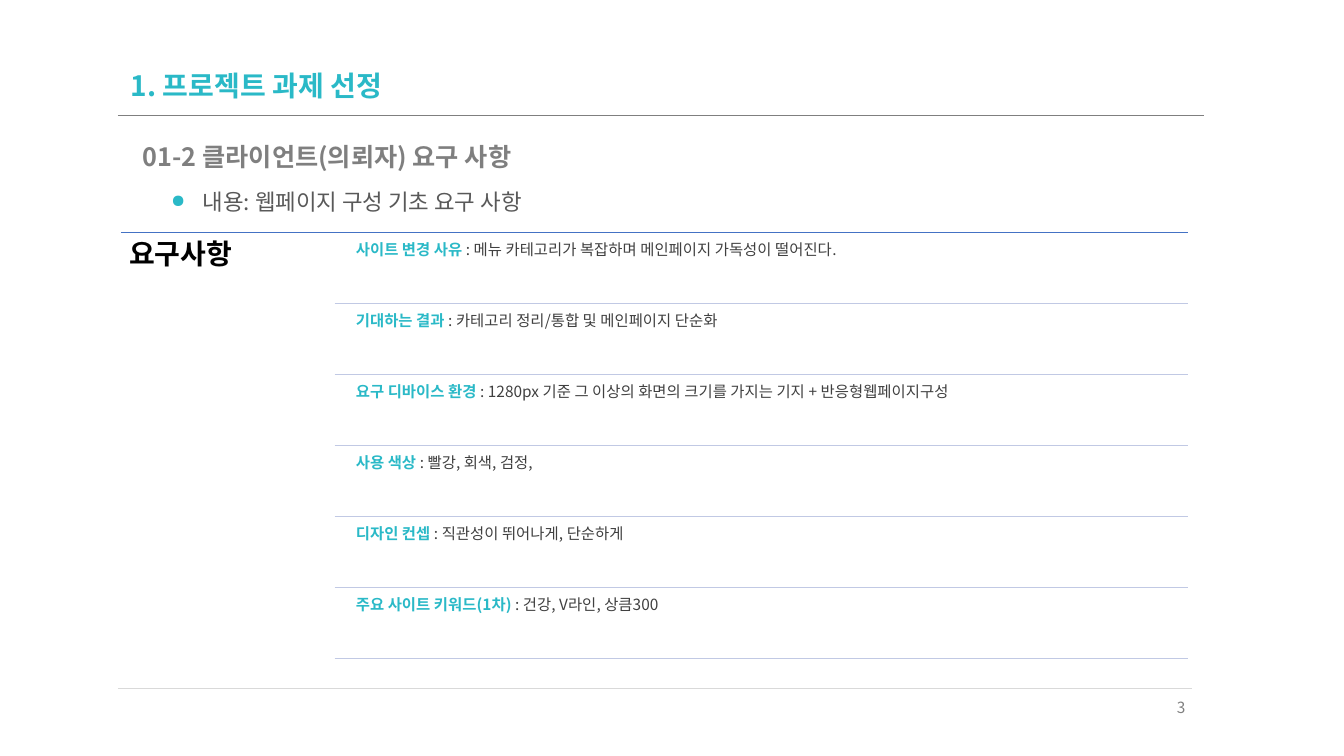
from lxml.etree import SubElement
from pptx import Presentation
from pptx.dml.color import RGBColor
from pptx.enum.shapes import MSO_CONNECTOR
from pptx.enum.text import MSO_ANCHOR, PP_ALIGN
from pptx.oxml.ns import qn
from pptx.util import Pt

FONT = "Noto Sans CJK KR"
TEAL, GRAY, DARK = "2AB9C7", "7F7F7F", "404040"
LEFT, INNER, RIGHT = 86.4, 239, 848.9
TOP, PITCH = 166.1, 50.7

NEEDS = [
    ("사이트 변경 사유 ", ": 메뉴 카테고리가 복잡하며 메인페이지 가독성이 떨어진다."),
    ("기대하는 결과 ", ": 카테고리 정리/통합 및 메인페이지 단순화"),
    ("요구 디바이스 환경 ", ": 1280px 기준 그 이상의 화면의 크기를 가지는 기지 + 반응형웹페이지구성"),
    ("사용 색상 ", ": 빨강, 회색, 검정,"),
    ("디자인 컨셉 ", ": 직관성이 뛰어나게, 단순하게"),
    ("주요 사이트 키워드(1차) ", ": 건강, V라인, 상큼300"),
]


def color(code):
    """Turn a hex string into a colour."""
    return RGBColor.from_string(code)


def add_run(para, words, size, tint, bold=False):
    """Add a run in the slide's font."""
    run = para.add_run()
    run.text = words
    font = run.font
    font.name, font.size, font.bold = FONT, Pt(size), bold
    font.color.rgb = color(tint)
    SubElement(font._element, qn("a:ea"), typeface=FONT)


def add_text(slide, box, runs, inset=None, anchor=MSO_ANCHOR.TOP,
             align=PP_ALIGN.LEFT, spacing=0.9):
    """Add a text box of one paragraph and return the paragraph."""
    frame = slide.shapes.add_textbox(*map(Pt, box)).text_frame
    frame.word_wrap = True
    frame.vertical_anchor = anchor
    if inset is not None:
        frame.margin_left = frame.margin_right = Pt(inset)
        frame.margin_top = frame.margin_bottom = Pt(inset)
    para = frame.paragraphs[0]
    para.alignment, para.line_spacing = align, spacing
    for run in runs:
        add_run(para, *run)
    return para


def add_bullet(para, tint, indent):
    """Give a paragraph a round, hanging bullet."""
    props = para._p.get_or_add_pPr()
    props.set("marL", str(Pt(indent)))
    props.set("indent", str(-Pt(indent)))
    hue = SubElement(props, qn("a:buClr"))
    SubElement(hue, qn("a:srgbClr"), val=tint)
    SubElement(props, qn("a:buSzPct"), val="80000")
    SubElement(props, qn("a:buChar"), char="●")


def add_rule(slide, left, right, top, tint, width=1):
    """Draw a level line with no shadow."""
    ends = map(Pt, (left, top, right, top))
    rule = slide.shapes.add_connector(MSO_CONNECTOR.STRAIGHT, *ends)
    rule.line.color.rgb = color(tint)
    rule.line.width = Pt(width)
    SubElement(rule._element.spPr, qn("a:effectLst"))


def add_needs(slide):
    """Lay out the list of needs, each row closed by a rule."""
    add_rule(slide, LEFT, RIGHT, TOP, "4472C4")
    add_text(slide, (LEFT, TOP, INNER - LEFT, 308),
             [("요구사항", 20, "000000", True)], inset=5.8)
    for row, (label, words) in enumerate(NEEDS):
        top = TOP + row * PITCH
        add_text(slide, (250.6, top + 3.2, 598.3, 47.5),
                 [(label, 11, TEAL, True), (words, 11, DARK)], inset=3.6)
        add_rule(slide, INNER, RIGHT, top + PITCH, "C1C9E4")


def main():
    """Build and save the slide."""
    deck = Presentation()
    deck.slide_width, deck.slide_height = Pt(960), Pt(540)
    slide = deck.slides.add_slide(deck.slide_layouts[6])
    add_rule(slide, 84.2, 859.7, 82.1, GRAY, 0.5)
    add_rule(slide, 84.2, 851.8, 491.8, "D9D9D9", 0.5)
    add_text(slide, (LEFT, 44.6, 776, 35.3),
             [("1. 프로젝트 과제 선정", 20, TEAL, True)],
             anchor=MSO_ANCHOR.MIDDLE)
    add_text(slide, (95, 100, 767.5, 24.5),
             [("01-2 클라이언트(의뢰자) 요구 사항", 18, GRAY, True)])
    topic = add_text(slide, (115.2, 133.2, 747.4, 24.5),
                     [("내용: 웹페이지 구성 기초 요구 사항", 16, "595959")])
    add_bullet(topic, TEAL, 22.5)
    add_needs(slide)
    add_text(slide, (811.4, 495.4, 42.5, 28.8), [("3", 11, "808080")],
             align=PP_ALIGN.RIGHT, spacing=1.0)
    deck.save("out.pptx")


main()
